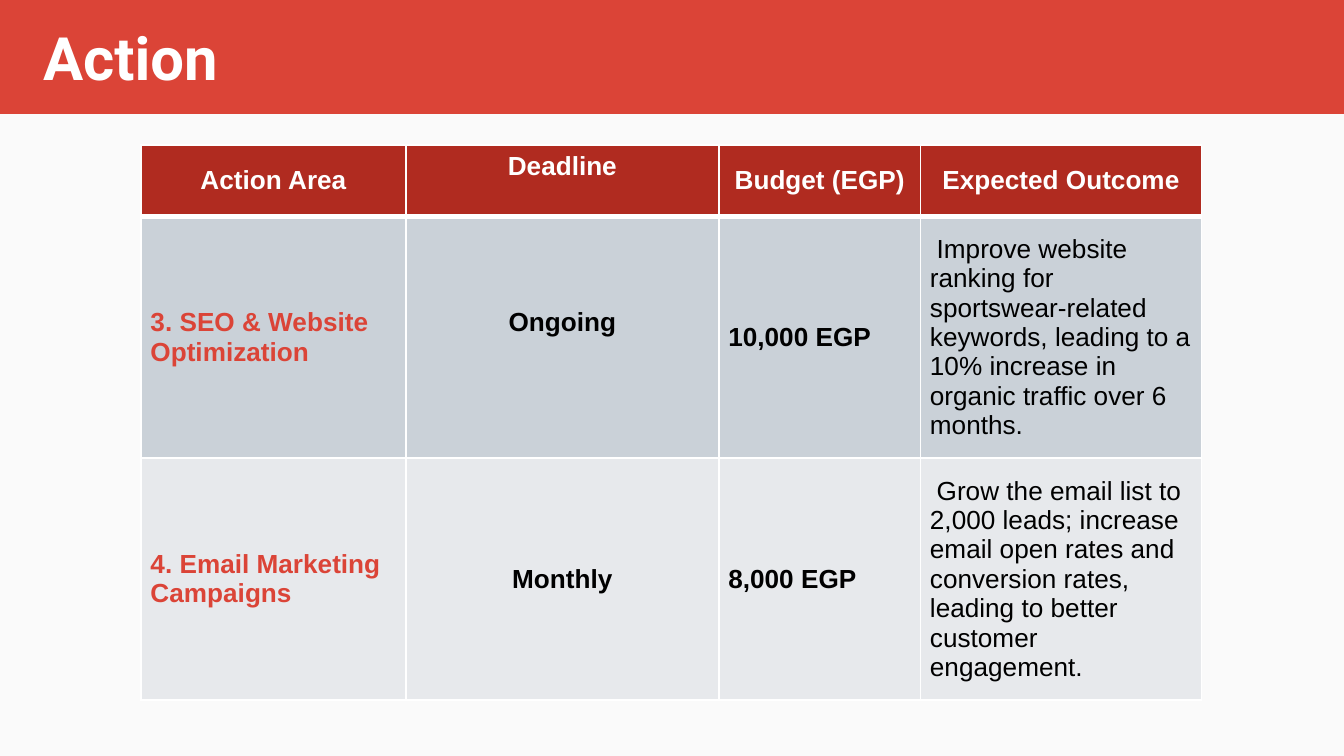
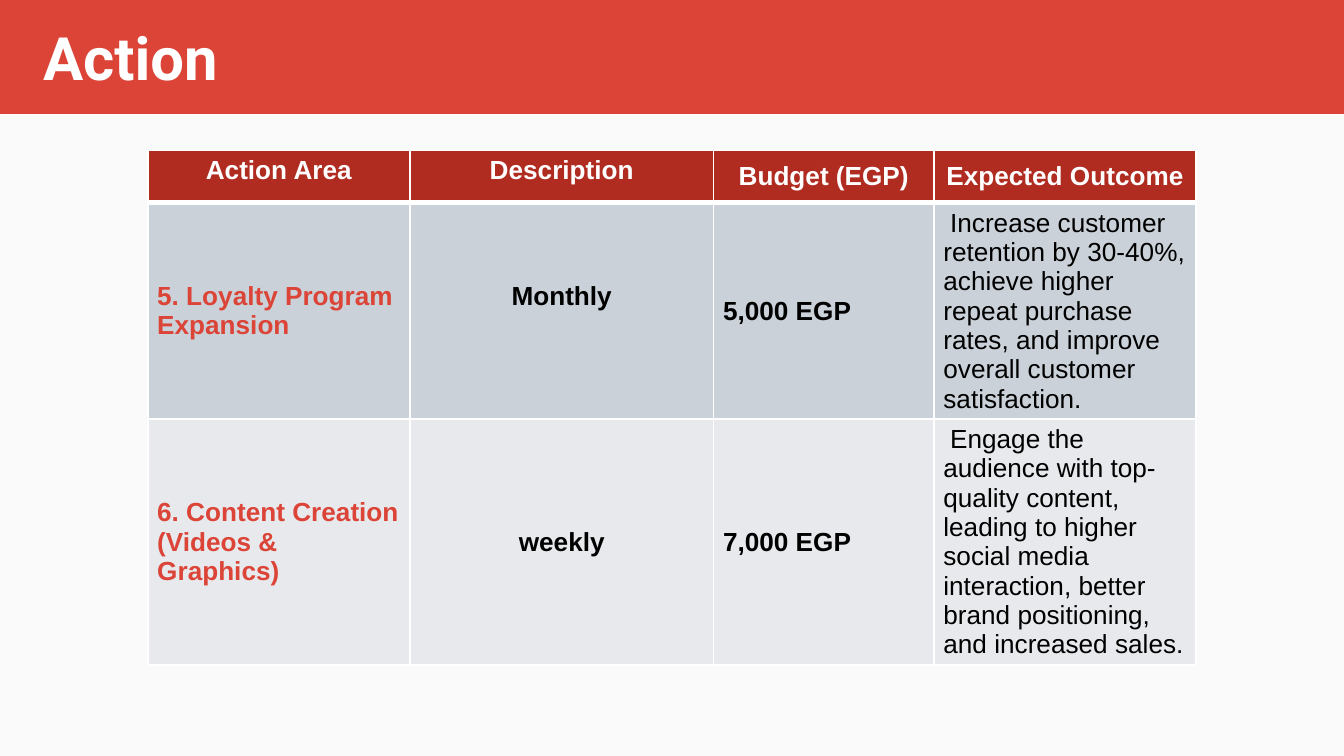
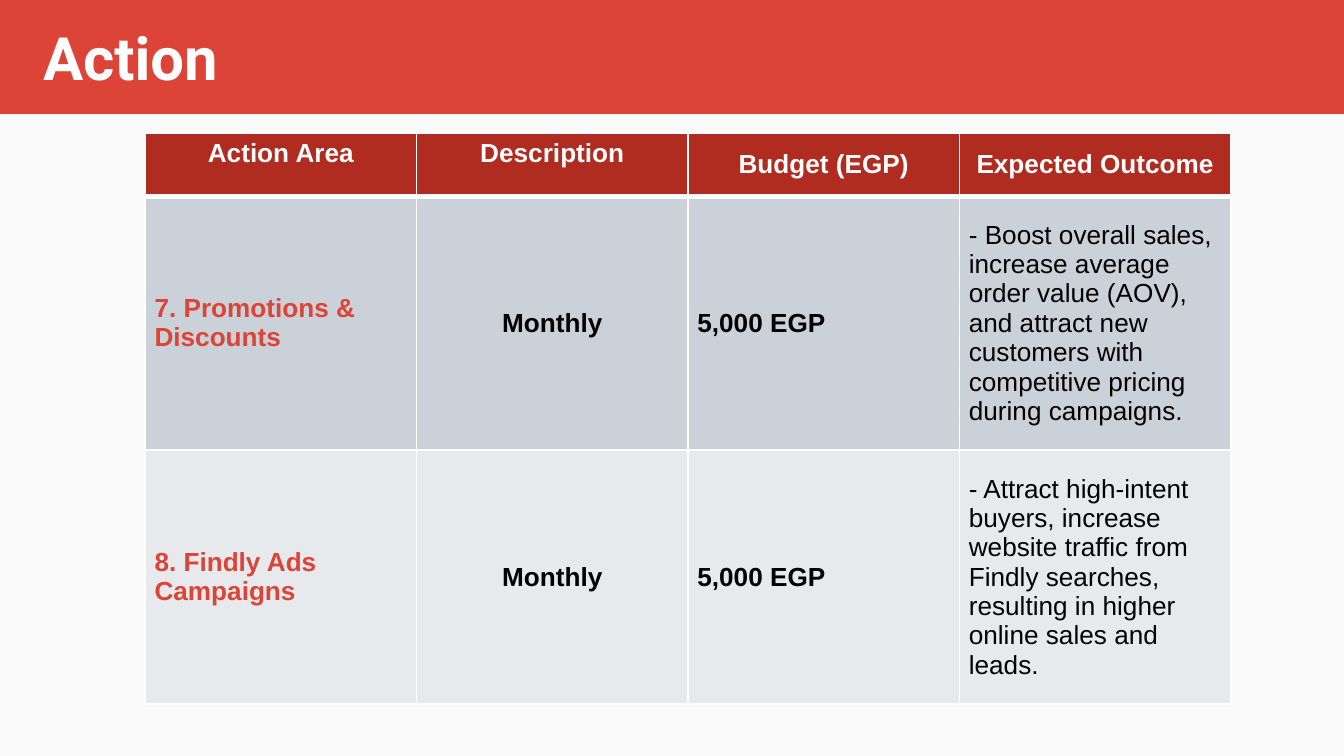
from dataclasses import dataclass

from lxml import etree
from pptx import Presentation
from pptx.dml.color import RGBColor
from pptx.enum import shapes, text
from pptx.oxml import ns
from pptx.util import Inches, Pt

COLORS = {
    "backdrop": "4285F4",
    "paper": "FAFAFA",
    "red": "DB4437",
    "header": "B02B20",
    "white": "FFFFFF",
    "black": "000000",
    "odd_row": "CAD1D8",
    "even_row": "E7E9EC",
}
PAGE_WIDTH = 10
PAGE_HEIGHT = PAGE_WIDTH * 9 / 16
TITLE_HEIGHT = 0.84
PAPER_TOP = 0.72
SIDE_MARGIN, END_MARGIN = 0.07, 0.04
LINE_HEIGHT = 0.22
BODY_COLORS = ("red", "black", "black", "black")
CENTERED_COLUMN, OUTCOME_COLUMN = 1, 3


@dataclass(frozen=True)
class ActionTable:
    left: float
    top: float
    widths: tuple[float, ...]
    heights: tuple[float, ...]
    rows: tuple[tuple[str, ...], ...]
    outcome_indent: float = 0
    top_headers: int = 0  # leading header cells anchored to the top
    raised: tuple[tuple[int, int], ...] = ()  # cells set half a line above the middle


def header(second: str) -> tuple[str, ...]:
    return "Action Area", second, "Budget (EGP)", "Expected Outcome"


TABLES = (
    ActionTable(
        1.05, 1.08, (1.97, 2.33, 1.5, 2.09), (0.53, 1.8, 1.8),
        (
            header("Deadline"),
            ("3. SEO & Website Optimization", "Ongoing", "10,000 EGP",
             "Improve website ranking for sportswear-related keywords, leading to a "
             "10% increase in organic traffic over 6 months."),
            ("4. Email Marketing Campaigns", "Monthly", "8,000 EGP",
             "Grow the email list to 2,000 leads; increase email open rates and "
             "conversion rates, leading to better customer engagement."),
        ),
        outcome_indent=0.05, raised=((0, 1), (1, 1)),
    ),
    ActionTable(
        1.1, 1.12, (1.95, 2.26, 1.64, 1.95), (0.39, 1.6, 1.82),
        (
            header("Description"),
            ("5. Loyalty Program Expansion", "Monthly", "5,000 EGP",
             "Increase customer retention by 30-40%, achieve higher repeat purchase "
             "rates, and improve overall customer satisfaction."),
            ("6. Content Creation (Videos & Graphics)", "weekly", "7,000 EGP",
             "Engage the audience with top-quality content, leading to higher social "
             "media interaction, better brand positioning, and increased sales."),
        ),
        outcome_indent=0.05, top_headers=2, raised=((1, 1),),
    ),
    ActionTable(
        1.08, 0.99, (2.02,) * 4, (0.47, 1.89, 1.89),
        (
            header("Description"),
            ("7. Promotions & Discounts", "Monthly", "5,000 EGP",
             "- Boost overall sales, increase average order value (AOV), and attract "
             "new customers with competitive pricing during campaigns."),
            ("8. Findly Ads Campaigns", "Monthly", "5,000 EGP",
             "- Attract high-intent buyers, increase website traffic from Findly "
             "searches, resulting in higher online sales and leads."),
        ),
        top_headers=2,
    ),
)


def color(name: str) -> RGBColor:
    return RGBColor.from_string(COLORS[name])


def paint(fill, name: str) -> None:
    fill.solid()
    fill.fore_color.rgb = color(name)


def add_span(para, words: str, font: str, size: float, name: str, bold: bool) -> None:
    span = para.add_run()
    span.text = words
    span.font.name = font
    span.font.size = Pt(size)
    span.font.bold = bold
    span.font.color.rgb = color(name)


def add_paper(page, layout) -> None:
    """Draw the light sheet and move it to the back of the shared layout."""
    paper = page.shapes.add_shape(
        shapes.MSO_SHAPE.RECTANGLE, 0, Inches(PAPER_TOP),
        Inches(PAGE_WIDTH), Inches(PAGE_HEIGHT - PAPER_TOP))
    paper.shadow.inherit = False
    paint(paper.fill, "paper")
    paper.line.fill.background()
    layout.shapes._spTree.insert(2, paper._element)


def format_title(title, words: str) -> None:
    title.left, title.top = 0, 0
    title.width, title.height = Inches(PAGE_WIDTH), Inches(TITLE_HEIGHT)
    paint(title.fill, "red")
    title.line.color.rgb = color("red")
    title.line.width = Pt(0.75)
    frame = title.text_frame
    frame.word_wrap = True
    frame.auto_size = text.MSO_AUTO_SIZE.NONE
    frame.vertical_anchor = text.MSO_ANCHOR.MIDDLE
    frame.margin_left = Inches(0.32)
    frame.margin_top = frame.margin_right = frame.margin_bottom = Inches(0.1)
    para = frame.paragraphs[0]
    para.alignment = text.PP_ALIGN.LEFT
    add_span(para, words, "Roboto", 32, "white", True)


def add_borders(cell, is_header: bool) -> None:
    """Rule a cell in white; the row above supplies the top edge of a body cell."""
    edges = {"lnL": 1, "lnR": 1, "lnT": 1, "lnB": 3} if is_header else {
        "lnL": 1, "lnR": 1, "lnB": 1}
    properties = cell._tc.get_or_add_tcPr()
    for tag, points in edges.items():
        edge = etree.SubElement(properties, ns.qn(f"a:{tag}"), w=str(Pt(points)))
        fill = etree.SubElement(edge, ns.qn("a:solidFill"))
        etree.SubElement(fill, ns.qn("a:srgbClr"), val=COLORS["white"])


def fill_cell(cell, words: str, row: int, column: int, plan: ActionTable) -> None:
    is_header = row == 0
    add_borders(cell, is_header)
    paint(cell.fill, ("header", "odd_row", "even_row")[row])
    cell.margin_left = cell.margin_right = Inches(SIDE_MARGIN)
    cell.margin_top = Inches(END_MARGIN)
    lift = LINE_HEIGHT if (row, column) in plan.raised else 0
    cell.margin_bottom = Inches(END_MARGIN + lift)
    at_top = is_header and column < plan.top_headers
    cell.vertical_anchor = text.MSO_ANCHOR.TOP if at_top else text.MSO_ANCHOR.MIDDLE

    para = cell.text_frame.paragraphs[0]
    centered = is_header or column == CENTERED_COLUMN
    para.alignment = text.PP_ALIGN.CENTER if centered else text.PP_ALIGN.LEFT
    is_outcome = not is_header and column == OUTCOME_COLUMN
    if is_outcome and plan.outcome_indent:
        para._p.get_or_add_pPr().set("indent", str(Inches(plan.outcome_indent)))
    name = "white" if is_header else BODY_COLORS[column]
    add_span(para, words, "Arial", 14, name, not is_outcome)


def add_action_table(page, plan: ActionTable) -> None:
    table = page.shapes.add_table(
        len(plan.heights), len(plan.widths), Inches(plan.left), Inches(plan.top),
        Inches(sum(plan.widths)), Inches(sum(plan.heights))).table
    table.horz_banding = False
    for column, width in zip(table.columns, plan.widths):
        column.width = Inches(width)
    for row, height in zip(table.rows, plan.heights):
        row.height = Inches(height)
    for row, entries in enumerate(plan.rows):
        for column, words in enumerate(entries):
            fill_cell(table.cell(row, column), words, row, column, plan)


def main() -> None:
    deck = Presentation()
    deck.slide_width, deck.slide_height = Inches(PAGE_WIDTH), Inches(PAGE_HEIGHT)
    paint(deck.slide_master.background.fill, "backdrop")
    layout = deck.slide_layouts.get_by_name("Title Only")
    pages = [deck.slides.add_slide(layout) for _ in TABLES]
    add_paper(pages[0], layout)
    for page, plan in zip(pages, TABLES):
        format_title(page.shapes.title, "Action")
        add_action_table(page, plan)
    deck.save("out.pptx")


if __name__ == "__main__":
    main()
